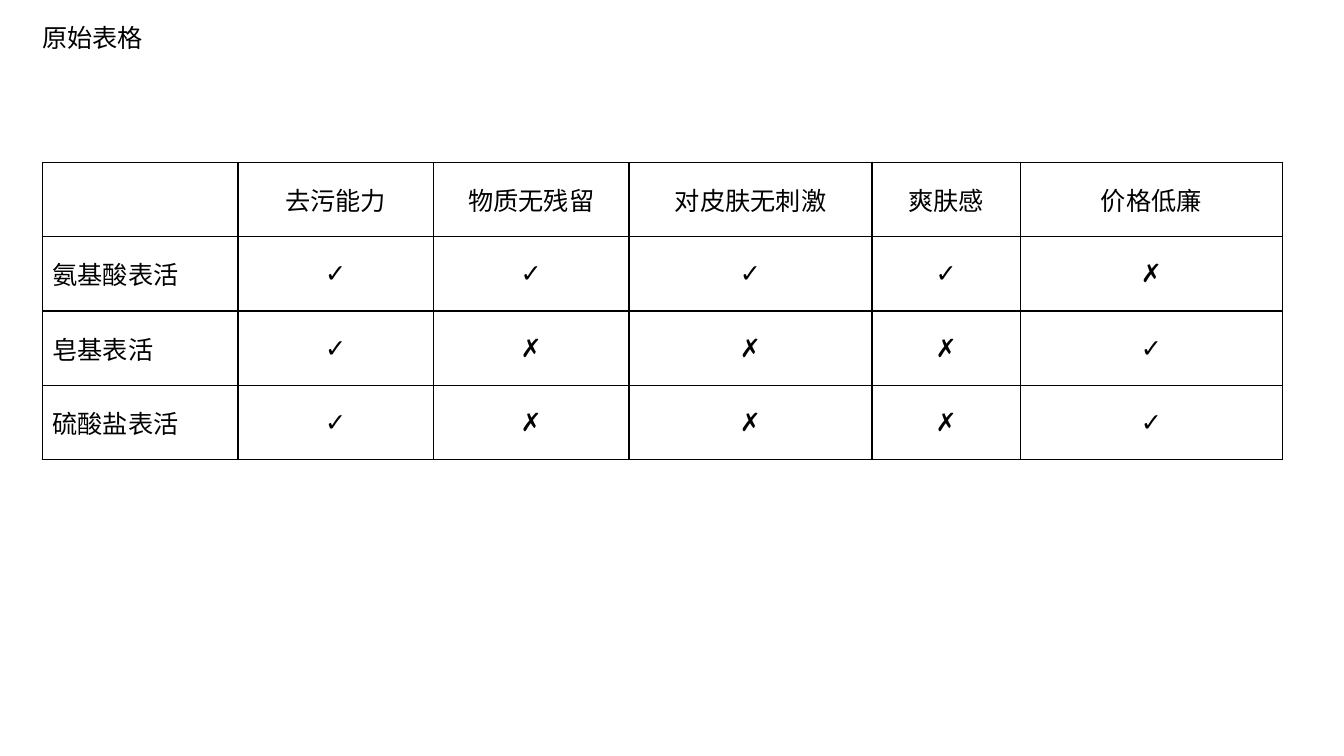
from lxml.etree import SubElement
from pptx import Presentation
from pptx.dml.color import RGBColor
from pptx.enum.text import MSO_ANCHOR, MSO_AUTO_SIZE, PP_ALIGN
from pptx.oxml.ns import qn
from pptx.util import Inches, Pt

FONT = "Montserrat"
BLACK = "000000"
TITLE_BOX = (0.42, 0.17, 1.11, 0.4)
TABLE_BOX = (0.42, 1.61, 12.3, 2.95)
COLUMN_WIDTHS = [1.94, 1.94, 1.94, 2.41, 1.47, 2.6]
ROWS = [
    ["", "去污能力", "物质无残留", "对皮肤无刺激", "爽肤感", "价格低廉"],
    ["氨基酸表活", "✓", "✓", "✓", "✓", "✗"],
    ["皂基表活", "✓", "✗", "✗", "✗", "✓"],
    ["硫酸盐表活", "✓", "✗", "✗", "✗", "✓"],
]


def color(hex_code):
    """Turn a hex string into a colour."""
    return RGBColor.from_string(hex_code)


def write(para, text, align):
    """Add one styled run to a paragraph."""
    para.alignment = align
    span = para.add_run()
    span.text = text
    span.font.name = FONT
    span.font.size = Pt(18)
    span.font.color.rgb = color(BLACK)


def add_borders(cell):
    """Draw a thin solid line on all four sides of a cell."""
    properties = cell._tc.get_or_add_tcPr()
    for side in ("a:lnL", "a:lnR", "a:lnT", "a:lnB"):
        line = SubElement(properties, qn(side), w=str(Pt(1)))
        fill = SubElement(line, qn("a:solidFill"))
        SubElement(fill, qn("a:srgbClr"), val=BLACK)


def place_title(page, box):
    """Put the heading in the title placeholder."""
    title = page.shapes.title
    title.left, title.top, title.width, title.height = map(Inches, box)
    frame = title.text_frame
    frame.margin_left = 0
    frame.margin_right = Inches(0.1)
    frame.margin_top = frame.margin_bottom = Inches(0.05)
    frame.word_wrap = False
    frame.auto_size = MSO_AUTO_SIZE.SHAPE_TO_FIT_TEXT
    frame.vertical_anchor = MSO_ANCHOR.TOP
    write(frame.paragraphs[0], "原始表格", PP_ALIGN.LEFT)


def place_table(page, box):
    """Build the comparison table inside the box."""
    frame = page.shapes.add_table(len(ROWS), len(COLUMN_WIDTHS), *map(Inches, box))
    table = frame.table
    table.first_row = table.horz_banding = False
    for column, width in zip(table.columns, COLUMN_WIDTHS):
        column.width = Inches(width)
    for row_index, texts in enumerate(ROWS):
        for column_index, text in enumerate(texts):
            cell = table.cell(row_index, column_index)
            cell.vertical_anchor = MSO_ANCHOR.MIDDLE
            add_borders(cell)
            cell.fill.background()
            if text:
                align = PP_ALIGN.CENTER if column_index else PP_ALIGN.LEFT
                write(cell.text_frame.paragraphs[0], text, align)


def main():
    """Create the deck with its single table page."""
    deck = Presentation()
    deck.slide_width, deck.slide_height = Inches(13.33), Inches(7.5)
    page = deck.slides.add_slide(deck.slide_layouts[5])
    place_table(page, TABLE_BOX)
    place_title(page, TITLE_BOX)
    deck.save("out.pptx")


if __name__ == "__main__":
    main()
